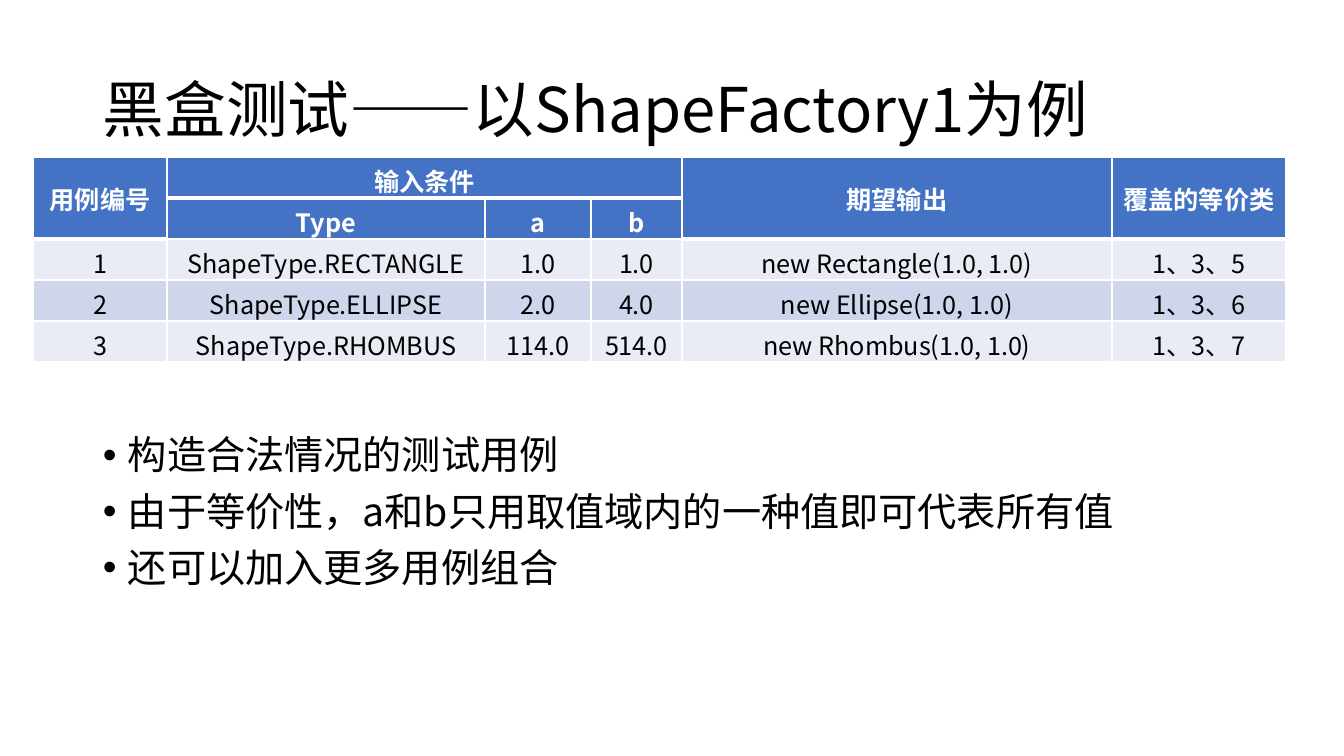
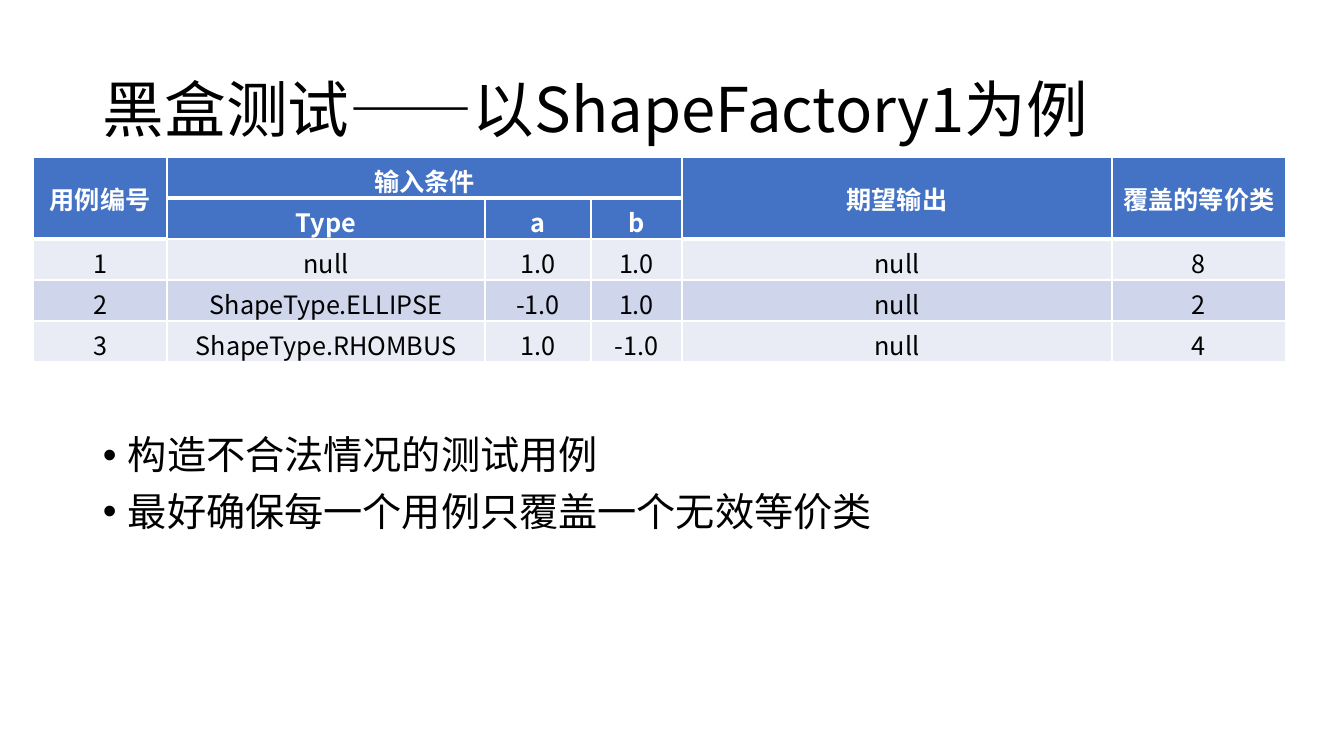
from lxml import etree
from pptx import Presentation
from pptx import util as u
from pptx.dml.color import RGBColor
from pptx.enum import text
from pptx.oxml import ns

PIXEL = 914400 / 100.8
FONT = "Noto Sans CJK SC"
BLACK = RGBColor(0x00, 0x00, 0x00)
WHITE = RGBColor(0xFF, 0xFF, 0xFF)
HEADER_BLUE = RGBColor(0x44, 0x72, 0xC4)
BANDS = [RGBColor(0xE9, 0xEB, 0xF5), RGBColor(0xCF, 0xD5, 0xEA)]

TITLE = "黑盒测试——以ShapeFactory1为例"
TITLE_BOX = (93, 40, 1159, 146)
BODY_BOX = (93, 431, 1194, 250)
TABLE_LEFT, TABLE_TOP = 33, 157
COLUMN_WIDTHS = [134, 318, 106, 91, 430, 174]
ROW_HEIGHT = 41
BULLET_INDENT = 25
HEADER_ROWS = [
    ["用例编号", "输入条件", "", "", "期望输出", "覆盖的等价类"],
    ["", "Type", "a", "b", "", ""],
]
HEADER_MERGES = [((0, 0), (1, 0)), ((0, 1), (0, 3)), ((0, 4), (1, 4)), ((0, 5), (1, 5))]

SLIDES = [
    {
        "cases": [
            ["1", "ShapeType.RECTANGLE", "1.0", "1.0", "new Rectangle(1.0, 1.0)", "1、3、5"],
            ["2", "ShapeType.ELLIPSE", "2.0", "4.0", "new Ellipse(1.0, 1.0)", "1、3、6"],
            ["3", "ShapeType.RHOMBUS", "114.0", "514.0", "new Rhombus(1.0, 1.0)", "1、3、7"],
        ],
        "bullets": [
            "构造合法情况的测试用例",
            "由于等价性，a和b只用取值域内的一种值即可代表所有值",
            "还可以加入更多用例组合",
        ],
    },
    {
        "cases": [
            ["1", "null", "1.0", "1.0", "null", "8"],
            ["2", "ShapeType.ELLIPSE", "-1.0", "1.0", "null", "2"],
            ["3", "ShapeType.RHOMBUS", "1.0", "-1.0", "null", "4"],
        ],
        "bullets": [
            "构造不合法情况的测试用例",
            "最好确保每一个用例只覆盖一个无效等价类",
        ],
    },
]


def px(*lengths):
    """Turn pixel lengths into a list of EMU lengths."""
    return [u.Emu(round(length * PIXEL)) for length in lengths]


def add_run(paragraph, words, size, color=BLACK, bold=False):
    """Add one run in the shared font, for Latin and Chinese glyphs."""
    run = paragraph.add_run()
    run.text = words
    run.font.size = u.Pt(size)
    run.font.bold = bold
    run.font.color.rgb = color
    run.font.name = FONT
    etree.SubElement(run.font._element, ns.qn("a:ea"), typeface=FONT)


presentation = Presentation()
presentation.slide_width, presentation.slide_height = px(1344, 756)

for content in SLIDES:
    slide = presentation.slides.add_slide(presentation.slide_layouts[6])

    title_frame = slide.shapes.add_textbox(*px(*TITLE_BOX)).text_frame
    title_frame.word_wrap = True
    title_frame.vertical_anchor = text.MSO_ANCHOR.MIDDLE
    title_frame.paragraphs[0].line_spacing = 0.9
    add_run(title_frame.paragraphs[0], TITLE, 44)

    body_frame = slide.shapes.add_textbox(*px(*BODY_BOX)).text_frame
    body_frame.word_wrap = True
    for index, words in enumerate(content["bullets"]):
        paragraph = body_frame.add_paragraph() if index else body_frame.paragraphs[0]
        paragraph.line_spacing = 0.9
        paragraph.space_before = u.Pt(10)
        properties = paragraph._p.get_or_add_pPr()
        indent = px(BULLET_INDENT)[0]
        properties.set("marL", str(indent))
        properties.set("indent", str(-indent))
        etree.SubElement(properties, ns.qn("a:buFont"), typeface="Arial")
        etree.SubElement(properties, ns.qn("a:buChar"), char="•")
        add_run(paragraph, words, 28)

    rows = HEADER_ROWS + content["cases"]
    table = slide.shapes.add_table(
        len(rows), len(COLUMN_WIDTHS),
        *px(TABLE_LEFT, TABLE_TOP, sum(COLUMN_WIDTHS), ROW_HEIGHT * len(rows)),
    ).table
    for column, width in zip(table.columns, px(*COLUMN_WIDTHS)):
        column.width = width
    for (top, left), (bottom, right) in HEADER_MERGES:
        table.cell(top, left).merge(table.cell(bottom, right))

    for row_index, row in enumerate(rows):
        table.rows[row_index].height = px(ROW_HEIGHT)[0]
        is_header = row_index < len(HEADER_ROWS)
        for column_index, words in enumerate(row):
            cell = table.cell(row_index, column_index)
            cell.vertical_anchor = text.MSO_ANCHOR.MIDDLE
            cell.fill.solid()
            cell.fill.fore_color.rgb = HEADER_BLUE if is_header else BANDS[row_index % 2]
            paragraph = cell.text_frame.paragraphs[0]
            paragraph.alignment = text.PP_ALIGN.CENTER
            if words:
                add_run(paragraph, words, 18, WHITE if is_header else BLACK, is_header)

            cell_properties = cell._tc.get_or_add_tcPr()
            for position, side in enumerate("LRTB"):
                is_thick = (row_index, side) in [(0, "B"), (1, "T")]
                border = etree.Element(ns.qn("a:ln" + side), w=str(u.Pt(3 if is_thick else 1)))
                border_fill = etree.SubElement(border, ns.qn("a:solidFill"))
                etree.SubElement(border_fill, ns.qn("a:srgbClr"), val=str(WHITE))
                cell_properties.insert(position, border)

presentation.save("out.pptx")
